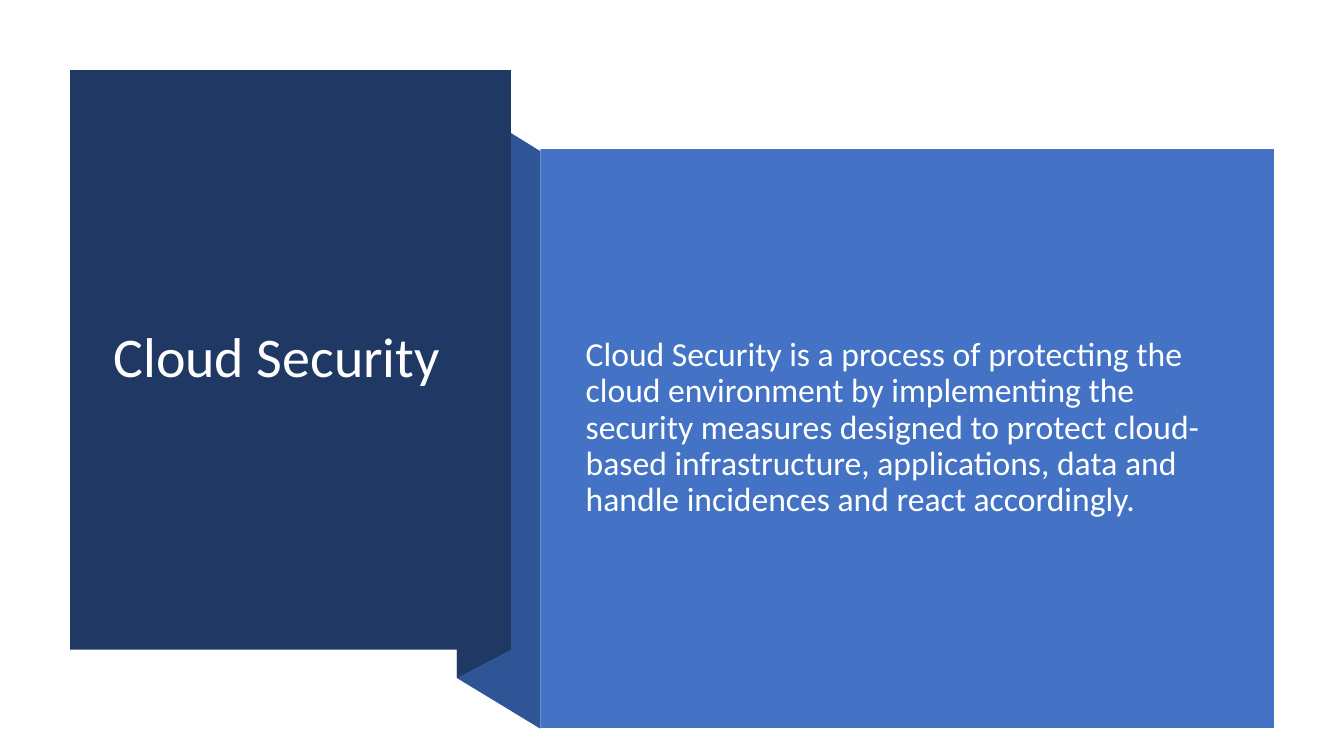
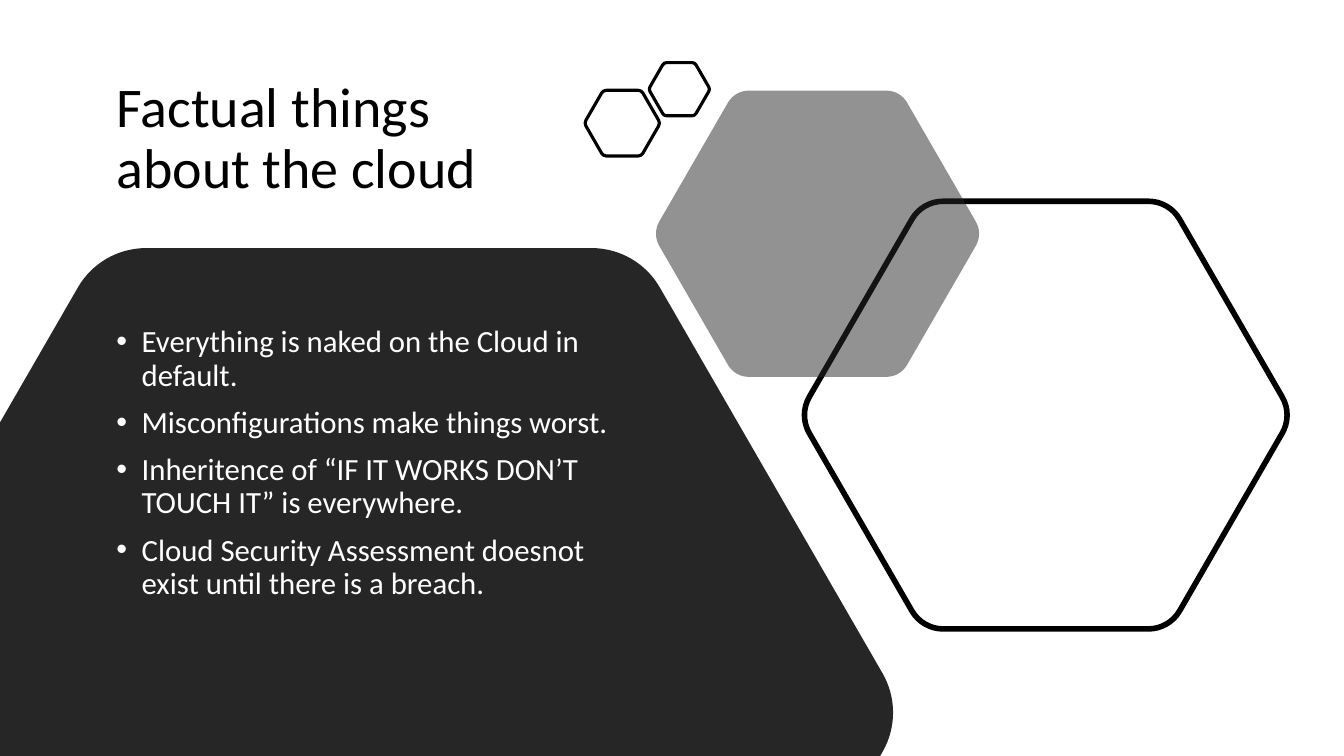
import math

from lxml import etree
from pptx import Presentation
from pptx.dml import color
from pptx.enum import shapes, text
from pptx.oxml import ns
from pptx.util import Pt

# Shared style, lengths in points
SLIDE_W, SLIDE_H = 960, 540
FONT = "Calibri"
TITLE_SIZE = 40
ROUNDNESS = 0.62  # control distance of a 60 degree arc, as a share of the cut
COLORS = {
    "white": "FFFFFF",
    "soft white": "FEFFFF",
    "black": "000000",
    "navy": "203864",
    "fold": "2F5597",
    "blue": "4472C4",
    "charcoal": "262626",
}


def rgb(name):
    return color.RGBColor.from_string(COLORS[name])


# Shapes
def style(sp, fill=None, line=None, width=0, alpha=None):
    sp.shadow.inherit = False
    if fill:
        sp.fill.solid()
        sp.fill.fore_color.rgb = rgb(fill)
        if alpha:
            clr = sp._element.spPr.find(".//" + ns.qn("a:srgbClr"))
            etree.SubElement(clr, ns.qn("a:alpha")).set("val", str(alpha * 1000))
    else:
        sp.fill.background()
    if line:
        sp.line.color.rgb = rgb(line)
        sp.line.width = Pt(width)
    else:
        sp.line.fill.background()


def rect(s, box, fill):
    sp = s.shapes.add_shape(shapes.MSO_SHAPE.RECTANGLE, *map(Pt, box))
    style(sp, fill)


def polygon(s, points, **look):
    points = [(Pt(x), Pt(y)) for x, y in points]
    fb = s.shapes.build_freeform(*points[0])
    fb.add_line_segments(points[1:], close=True)
    sp = fb.convert_to_shape()
    style(sp, **look)
    return sp


def clip(points, axis, limit, sign):
    """Keep the part of a polygon where sign * (coordinate - limit) >= 0."""
    kept = []
    for a, b in zip(points, points[1:] + points[:1]):
        da, db = (sign * (p[axis] - limit) for p in (a, b))
        if da >= 0:
            kept.append(a)
        if da * db < 0:
            t = da / (da - db)
            kept.append((a[0] + t * (b[0] - a[0]), a[1] + t * (b[1] - a[1])))
    return kept


def toward(a, b, distance):
    t = distance / math.dist(a, b)
    return a[0] + t * (b[0] - a[0]), a[1] + t * (b[1] - a[1])


def hexagon(s, cx, cy, height, cut, **look):
    """Regular hexagon, cut at the slide edge; each corner is one curve."""
    side = height / math.sqrt(3)
    corners = [(cx + side * math.cos(math.radians(a)),
                cy + side * math.sin(math.radians(a))) for a in range(0, 360, 60)]
    corners = clip(clip(corners, 0, 0, 1), 1, SLIDE_H, -1)
    points, curves = [], []
    for i, p in enumerate(corners):
        if p[0] < 0.01 or p[1] > SLIDE_H - 0.01:
            points.append(p)
            continue
        before, after = corners[i - 1], corners[(i + 1) % len(corners)]
        curves.append(len(points) + 1)
        inner = cut * (1 - ROUNDNESS)
        points += [toward(p, before, cut), toward(p, before, inner),
                   toward(p, after, inner), toward(p, after, cut)]
    sp = polygon(s, points, **look)

    # Turn each run of three corner segments into a Bézier curve
    segments = list(sp._element.spPr.find(".//" + ns.qn("a:path")))
    for i in curves:
        curve = etree.Element(ns.qn("a:cubicBezTo"))
        segments[i].addprevious(curve)
        for segment in segments[i:i + 3]:
            curve.append(segment[0])
            segment.getparent().remove(segment)


# Text
def write(ph, box, lines, size, fill, anchor=text.MSO_ANCHOR.MIDDLE,
          before=0, bullet=False):
    ph.left, ph.top, ph.width, ph.height = map(Pt, box)
    ph._element.getparent().append(ph._element)  # bring to front
    tf = ph.text_frame
    tf.word_wrap = True
    tf.auto_size = text.MSO_AUTO_SIZE.NONE
    tf.vertical_anchor = anchor
    for i, line in enumerate(lines):
        p = tf.add_paragraph() if i else tf.paragraphs[0]
        p.alignment = text.PP_ALIGN.LEFT
        p.line_spacing = 0.9
        p.space_before, p.space_after = Pt(before), Pt(0)
        ppr = p._p.get_or_add_pPr()
        indent = Pt(18) if bullet else 0
        ppr.set("marL", str(indent))
        ppr.set("indent", str(-indent))
        if bullet:
            etree.SubElement(ppr, ns.qn("a:buChar")).set("char", "•")
        else:
            etree.SubElement(ppr, ns.qn("a:buNone"))
        r = p.add_run()
        r.text = line
        r.font.name = FONT
        r.font.size = Pt(size)
        r.font.bold = False
        r.font.color.rgb = rgb(fill)


def write_title(s, box, title, fill):
    write(s.shapes.title, box, [title], TITLE_SIZE, fill)


def inset(box, left, top, right, bottom):
    x, y, w, h = box
    return x + left, y + top, w - left - right, h - top - bottom


# Slide 1: two panels joined by a folded ribbon
def ribbon(s, title_box, body_box, fold_x):
    tx, ty, tw, th = title_box
    bx, by, _, bh = body_box
    right = tx + tw
    fold_top, fold_bottom = ty + 21, ty + th + 20.3
    polygon(s, [(bx, by + bh + 0.5), (fold_x, fold_bottom),
                (fold_x, fold_top), (bx, by + 1.5)], fill="fold")
    polygon(s, [(right, ty + th), (fold_x, fold_bottom),
                (fold_x, fold_top), (right, ty)], fill="navy")
    rect(s, title_box, "navy")
    rect(s, body_box, "blue")


def definition_slide(prs, title, body):
    s = prs.slides.add_slide(prs.slide_layouts[1])
    title_box, body_box = (50, 50, 315, 414), (386, 106.5, 524, 413.5)
    ribbon(s, title_box, body_box, fold_x=326.3)
    write_title(s, inset(title_box, 23.8, 27, 24.2, 28), title, "white")
    write(s.placeholders[1], inset(body_box, 25.2, 28.6, 29.8, 43.4), [body],
          24, "soft white", before=10)


# Slide 2: list on a large hexagon, with smaller ones beside it
def honeycomb(s):
    hexagon(s, 263.5, 509, 663.6, 32.5, fill="charcoal")
    hexagon(s, 747, 296.5, 305.5, 15, line="black", width=4)
    hexagon(s, 584, 167, 204.5, 10, fill="charcoal", alpha=50)
    for cx, cy, height in ((444.5, 88, 47), (485.3, 63.7, 38)):
        hexagon(s, cx, cy, height, height / 20, line="black", width=2.25)


def facts_slide(prs, title, facts):
    s = prs.slides.add_slide(prs.slide_layouts[1])
    left = 76
    honeycomb(s)
    write_title(s, (left, 35, 337, 129.6), title, "black")
    write(s.placeholders[1], (left, 229.4, 373.7, 243.4), facts, 22, "white",
          anchor=text.MSO_ANCHOR.TOP, before=10, bullet=True)


def main():
    prs = Presentation()
    prs.slide_width, prs.slide_height = Pt(SLIDE_W), Pt(SLIDE_H)
    definition_slide(
        prs, "Cloud Security",
        "Cloud Security is a process of protecting the cloud environment by "
        "implementing the security measures designed to protect cloud-based "
        "infrastructure, applications, data and handle incidences and react "
        "accordingly.")
    facts_slide(prs, "Factual things about the cloud", [
        "Everything is naked on the Cloud in default.",
        "Misconfigurations make things worst.",
        "Inheritence of “IF IT WORKS DON’T TOUCH IT” is everywhere.",
        "Cloud Security Assessment doesnot exist until there is a breach.",
    ])
    prs.save("out.pptx")


if __name__ == "__main__":
    main()
